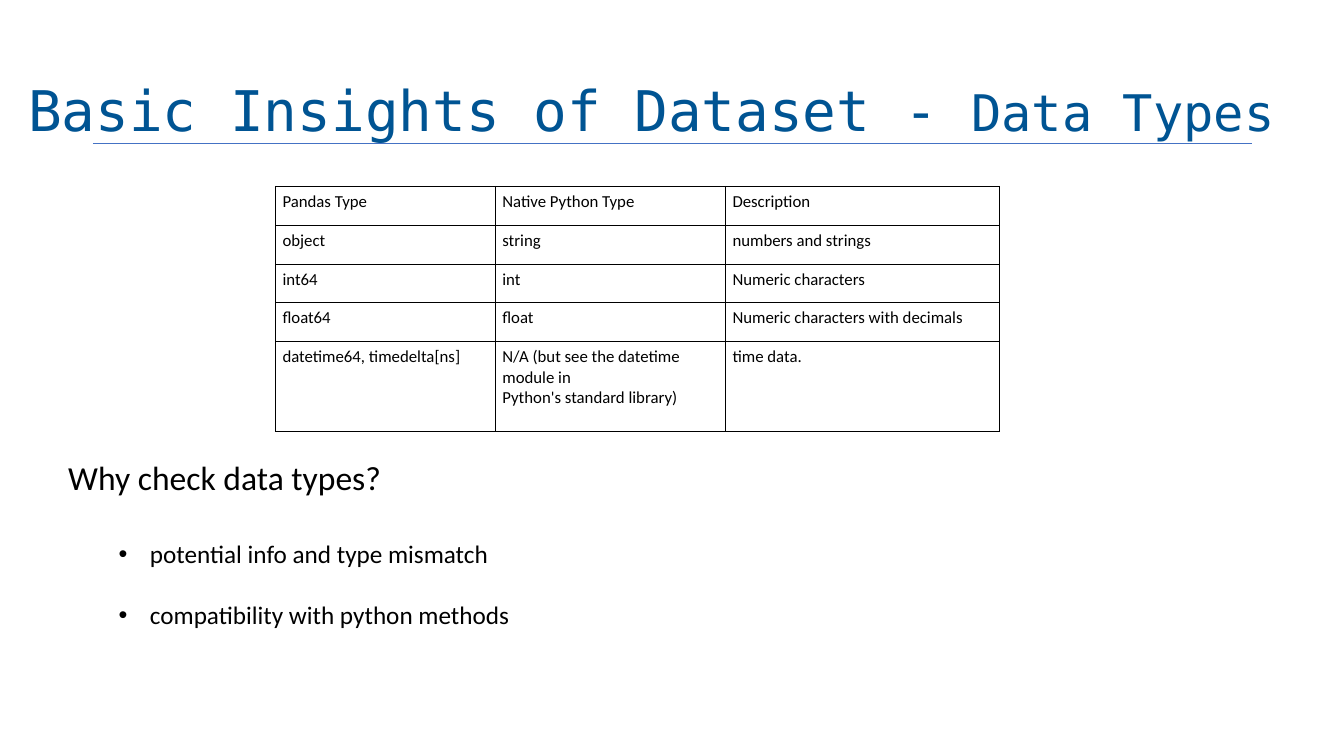
from dataclasses import dataclass

from lxml.etree import SubElement
from pptx import Presentation
from pptx.dml.color import RGBColor
from pptx.enum.shapes import MSO_CONNECTOR
from pptx.enum.text import MSO_ANCHOR
from pptx.oxml.ns import qn
from pptx.util import Cm, Pt


@dataclass(frozen=True)
class Theme:
    title_color: RGBColor = RGBColor(0x00, 0x54, 0x93)
    text_color: RGBColor = RGBColor(0x00, 0x00, 0x00)
    rule_color: RGBColor = RGBColor(0x44, 0x72, 0xC4)
    border_color: str = "000000"
    title_font: str = "DejaVu Sans Mono"
    body_font: str = "Calibri"
    title_size: int = 40
    subtitle_size: int = 36
    heading_size: int = 24
    bullet_size: int = 18
    table_size: int = 12
    line_width: float = 0.5


class SlideBuilder:
    def __init__(self, slide, theme):
        self.slide = slide
        self.theme = theme

    def set_font(self, font, size, name=None, color=None):
        font.size = Pt(size)
        font.name = name or self.theme.body_font
        font.color.rgb = color or self.theme.text_color

    def text_frame(self, left, top, width, height, anchor=MSO_ANCHOR.TOP):
        box = self.slide.shapes.add_textbox(Cm(left), Cm(top), Cm(width), Cm(height))
        box.text_frame.word_wrap = True
        box.text_frame.vertical_anchor = anchor
        return box.text_frame

    def rule(self, left, right, y):
        line = self.slide.shapes.add_connector(
            MSO_CONNECTOR.STRAIGHT, Cm(left), Cm(y), Cm(right), Cm(y))
        line.line.color.rgb = self.theme.rule_color
        line.line.width = Pt(self.theme.line_width)
        SubElement(line._element.spPr, qn("a:effectLst"))

    def title(self, main, detail, *place):
        theme = self.theme
        paragraph = self.text_frame(*place, anchor=MSO_ANCHOR.MIDDLE).paragraphs[0]
        paragraph.line_spacing = 0.9
        self.set_font(paragraph.font, theme.title_size, theme.title_font, theme.title_color)
        for text, size in ((main, theme.title_size), (detail, theme.subtitle_size)):
            run = paragraph.add_run()
            run.text = text
            self.set_font(run.font, size, theme.title_font, theme.title_color)

    def border(self, cell):
        properties = cell._tc.get_or_add_tcPr()
        for side in ("lnL", "lnR", "lnT", "lnB"):
            line = SubElement(properties, qn(f"a:{side}"), w=str(Pt(self.theme.line_width)))
            fill = SubElement(line, qn("a:solidFill"))
            SubElement(fill, qn("a:srgbClr"), val=self.theme.border_color)

    def table(self, rows, left, top, widths, heights):
        table = self.slide.shapes.add_table(
            len(rows), len(widths), Cm(left), Cm(top),
            Cm(sum(widths)), Cm(sum(heights))).table
        table.first_row = table.horz_banding = False
        for column, width in zip(table.columns, widths):
            column.width = Cm(width)
        for row, height, texts in zip(table.rows, heights, rows):
            row.height = Cm(height)
            for cell, text in zip(row.cells, texts):
                cell.text = text
                cell.margin_left = cell.margin_right = Cm(0.18)
                cell.margin_top = cell.margin_bottom = Cm(0.13)
                self.border(cell)
                cell.fill.background()
                for paragraph in cell.text_frame.paragraphs:
                    self.set_font(paragraph.font, self.theme.table_size)

    def bullet_list(self, heading, bullets, *place):
        frame = self.text_frame(*place)
        first = frame.paragraphs[0]
        first.text = heading
        self.set_font(first.font, self.theme.heading_size)
        gap = 29.3
        for text in bullets:
            paragraph = frame.add_paragraph()
            paragraph.text = text
            paragraph.level = 1
            paragraph.space_before = Pt(gap)
            properties = paragraph._p.get_or_add_pPr()
            properties.set("marL", str(Cm(2.06)))
            properties.set("indent", str(Cm(-0.79)))
            SubElement(properties, qn("a:buFont"), typeface="Arial")
            SubElement(properties, qn("a:buChar"), char="•")
            self.set_font(paragraph.font, self.theme.bullet_size)
            gap = 22


TYPE_ROWS = [
    ("Pandas Type", "Native Python Type", "Description"),
    ("object", "string", "numbers and strings"),
    ("int64", "int", "Numeric characters"),
    ("float64", "float", "Numeric characters with decimals"),
    ("datetime64, timedelta[ns]",
     "N/A (but see the datetime module in\nPython's standard library)",
     "time data."),
]


def main():
    presentation = Presentation()
    presentation.slide_width, presentation.slide_height = Cm(33.87), Cm(19.05)
    slide = presentation.slides.add_slide(presentation.slide_layouts[6])
    builder = SlideBuilder(slide, Theme())

    # Title and rule
    builder.rule(2.34, 31.55, 3.61)
    builder.title("Basic Insights of Dataset - ", "Data Types", 0.46, 1.02, 32.69, 3.68)

    # Table of data types
    builder.table(TYPE_ROWS, 6.94, 4.69, (5.54, 5.8, 6.91), [0.98] * 4 + [2.27])

    # Reasons to check
    builder.bullet_list(
        "Why check data types?",
        ("potential info and type mismatch", "compatibility with python methods"),
        1.47, 11.4, 17.65, 6.93)

    presentation.save("out.pptx")


if __name__ == "__main__":
    main()
